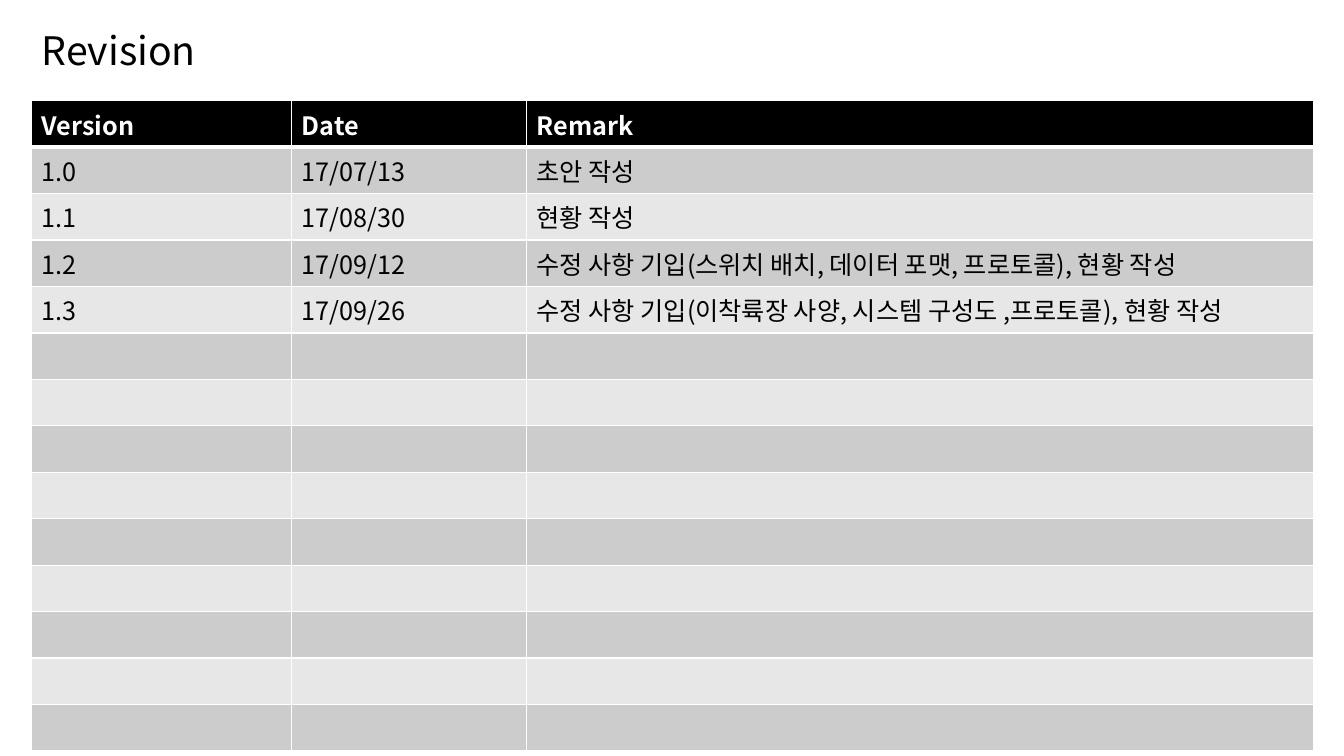
import pptx
import pptx.util
import pptx.dml.color
import pptx.enum.text
from lxml import etree
from pptx.oxml.ns import qn
from pptx.util import Cm, Pt

FONT = "Noto Sans CJK KR"
COLORS = {"black": "000000", "white": "FFFFFF", "dark": "CCCCCC", "light": "E7E7E7"}
HEADS = ["Version", "Date", "Remark"]
NOTES = [
    ["1.0", "17/07/13", "초안 작성"],
    ["1.1", "17/08/30", "현황 작성"],
    ["1.2", "17/09/12", "수정 사항 기입(스위치 배치, 데이터 포맷, 프로토콜), 현황 작성"],
    ["1.3", "17/09/26", "수정 사항 기입(이착륙장 사양, 시스템 구성도 ,프로토콜), 현황 작성"],
]
SPARE = 9
WIDTHS = [6.55, 5.92, 19.84]
ROW = 1.17


def color(name):
    return pptx.dml.color.RGBColor.from_string(COLORS[name])


def write(frame, text, size=18, tint="black", bold=False, space=None):
    para = frame.paragraphs[0]
    para.line_spacing = space
    run = para.add_run()
    run.text = text
    font = run.font
    font.name, font.size, font.bold = FONT, Pt(size), bold
    font.color.rgb = color(tint)
    # East Asian typeface for the Korean letters
    face = etree.SubElement(font._element, qn("a:ea"))
    face.set("typeface", FONT)


def edge(cell, side, width):
    props = cell._tc.get_or_add_tcPr()
    line = etree.SubElement(props, qn("a:ln" + side), w=str(Pt(width)))
    fill = etree.SubElement(line, qn("a:solidFill"))
    etree.SubElement(fill, qn("a:srgbClr"), val=COLORS["white"])


def title(slide, left, top, width, height):
    box = slide.shapes.add_textbox(Cm(left), Cm(top), Cm(width), Cm(height))
    frame = box.text_frame
    frame.word_wrap = True
    frame.vertical_anchor = pptx.enum.text.MSO_ANCHOR.MIDDLE
    write(frame, "Revision", size=28, space=0.9)


def history(slide, left, top):
    rows = [HEADS] + NOTES + [[""] * len(HEADS)] * SPARE
    table = slide.shapes.add_table(
        len(rows), len(HEADS), Cm(left), Cm(top),
        Cm(sum(WIDTHS)), Cm(ROW * len(rows))).table
    for col, width in zip(table.columns, WIDTHS):
        col.width = Cm(width)
    for r, texts in enumerate(rows):
        table.rows[r].height = Cm(ROW)
        head = r == 0
        shade = "black" if head else "dark" if r % 2 else "light"
        for c, text in enumerate(texts):
            cell = table.cell(r, c)
            # White rules, heavier under the heading
            for side in "LRTB":
                heavy = (head and side == "B") or (r == 1 and side == "T")
                edge(cell, side, 3 if heavy else 1)
            cell.fill.solid()
            cell.fill.fore_color.rgb = color(shade)
            write(cell.text_frame, text, tint="white" if head else "black", bold=head)


def main():
    deck = pptx.Presentation()
    deck.slide_width, deck.slide_height = Cm(33.87), Cm(19.05)
    slide = deck.slides.add_slide(deck.slide_layouts[6])
    title(slide, 0.8, 0.58, sum(WIDTHS), 1.52)
    history(slide, 0.8, 2.54)
    deck.save("out.pptx")


if __name__ == "__main__":
    main()
